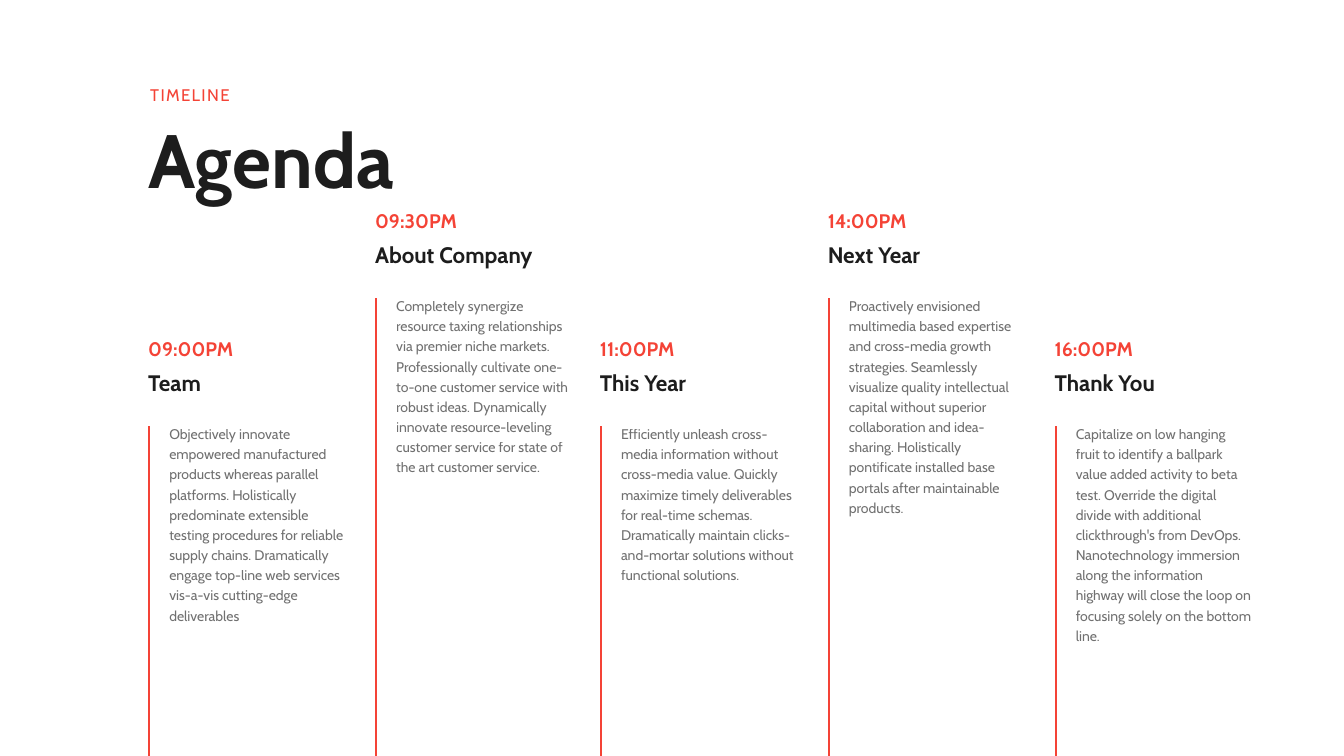
import pptx
import pptx.dml.color
import pptx.enum.shapes
import pptx.enum.text
import pptx.oxml.ns
import pptx.util
from lxml import etree

PX = 9144  # EMU per px, 100 px to the inch
SLIDE_W, SLIDE_H = 1333, 750

RED = "F44336"
BLACK = "1D1D1D"
GREY = "343434"

LOW, HIGH = 338, 211

# left, top, time, title, body height, body
AGENDA = [
    (147, LOW, "09:00PM", "Team", 200,
     "Objectively innovate empowered manufactured products whereas parallel "
     "platforms. Holistically predominate extensible testing procedures for "
     "reliable supply chains. Dramatically engage top-line web services "
     "vis-a-vis cutting-edge deliverables"),
    (372, HIGH, "09:30PM", "About Company", 220,
     "Completely synergize resource taxing relationships via premier niche "
     "markets. Professionally cultivate one-to-one customer service with "
     "robust ideas. Dynamically innovate resource-leveling customer service "
     "for state of the art customer service."),
    (595, LOW, "11:00PM", "This Year", 180,
     "Efficiently unleash cross-media information without cross-media value. "
     "Quickly maximize timely deliverables for real-time schemas. "
     "Dramatically maintain clicks-and-mortar solutions without functional "
     "solutions."),
    (821, HIGH, "14:00PM", "Next Year", 220,
     "Proactively envisioned multimedia based expertise and cross-media "
     "growth strategies. Seamlessly visualize quality intellectual capital "
     "without superior collaboration and idea-sharing. Holistically "
     "pontificate installed base portals after maintainable products."),
    (1046, LOW, "16:00PM", "Thank You", 240,
     "Capitalize on low hanging fruit to identify a ballpark value added "
     "activity to beta test. Override the digital divide with additional "
     "clickthrough's from DevOps. Nanotechnology immersion along the "
     "information highway will close the loop on focusing solely on the "
     "bottom line."),
]


def rgb(color):
    return pptx.dml.color.RGBColor.from_string(color)


def px(n):
    return pptx.util.Emu(n * PX)


class Deck:
    font = "Cabin"

    def __init__(self):
        self.prs = pptx.Presentation()
        self.prs.slide_width = px(SLIDE_W)
        self.prs.slide_height = px(SLIDE_H)
        self.slide = self.prs.slides.add_slide(self.prs.slide_layouts[6])

    def text(self, x, y, w, h, text, size, color, bold=False, bottom=False,
             wrap=True, leading=0.8, inset_right=0, spacing=0, opacity=100):
        """Add one paragraph; spacing is in points and opacity in percent."""
        sp = self.slide.shapes.add_textbox(px(x), px(y), px(w), px(h))
        tf = sp.text_frame
        tf.text = text
        tf.word_wrap = wrap
        tf.auto_size = pptx.enum.text.MSO_AUTO_SIZE.SHAPE_TO_FIT_TEXT
        tf.margin_left = tf.margin_top = tf.margin_bottom = 0
        tf.margin_right = px(inset_right)
        anchor = pptx.enum.text.MSO_ANCHOR
        tf.vertical_anchor = anchor.BOTTOM if bottom else anchor.TOP
        p = tf.paragraphs[0]
        p.line_spacing = leading
        r = p.runs[0]
        r.font.name = self.font
        r.font.size = pptx.util.Pt(size)
        r.font.bold = bold
        r.font.color.rgb = rgb(color)
        rPr = r._r.get_or_add_rPr()
        if spacing:
            rPr.set("spc", str(spacing * 100))
        if opacity < 100:
            clr = rPr.find(".//" + pptx.oxml.ns.qn("a:srgbClr"))
            alpha = etree.SubElement(clr, pptx.oxml.ns.qn("a:alpha"))
            alpha.set("val", str(opacity * 1000))

    def vertical_line(self, x, top, bottom, color, width):
        line = self.slide.shapes.add_connector(
            pptx.enum.shapes.MSO_CONNECTOR.STRAIGHT,
            px(x), px(top), px(x), px(bottom))
        line.line.color.rgb = rgb(color)
        line.line.width = pptx.util.Pt(width)
        etree.SubElement(line._element.spPr, pptx.oxml.ns.qn("a:effectLst"))

    def agenda_item(self, x, y, time, title, body_h, body):
        self.text(x, y + 33, 205, 22, title, 16, BLACK, bold=True)
        self.text(x, y, 205, 19, time, 14, RED, bold=True, bottom=True)
        self.vertical_line(x + 1, y + 85, SLIDE_H, RED, 1.5)
        self.text(x + 21, y + 81, 184, body_h, body, 10, GREY,
                  leading=1.2, inset_right=10, opacity=70)


def main():
    deck = Deck()
    deck.text(149, 88, 85, 16, "TIMELINE", 12, RED,
              bottom=True, wrap=False, spacing=1)
    deck.text(147, 129, 266, 73, "Agenda", 54, BLACK, bold=True, wrap=False)
    for item in AGENDA:
        deck.agenda_item(*item)
    deck.prs.save("out.pptx")


if __name__ == "__main__":
    main()
